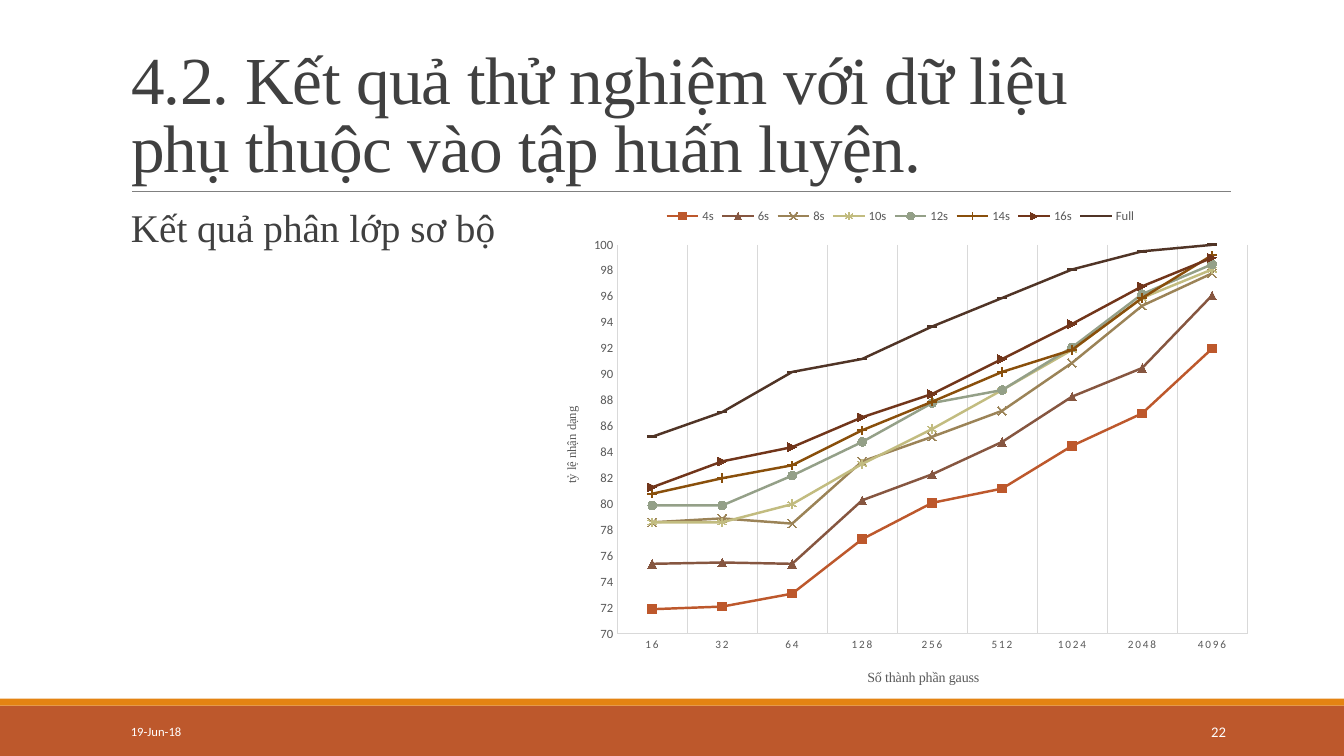
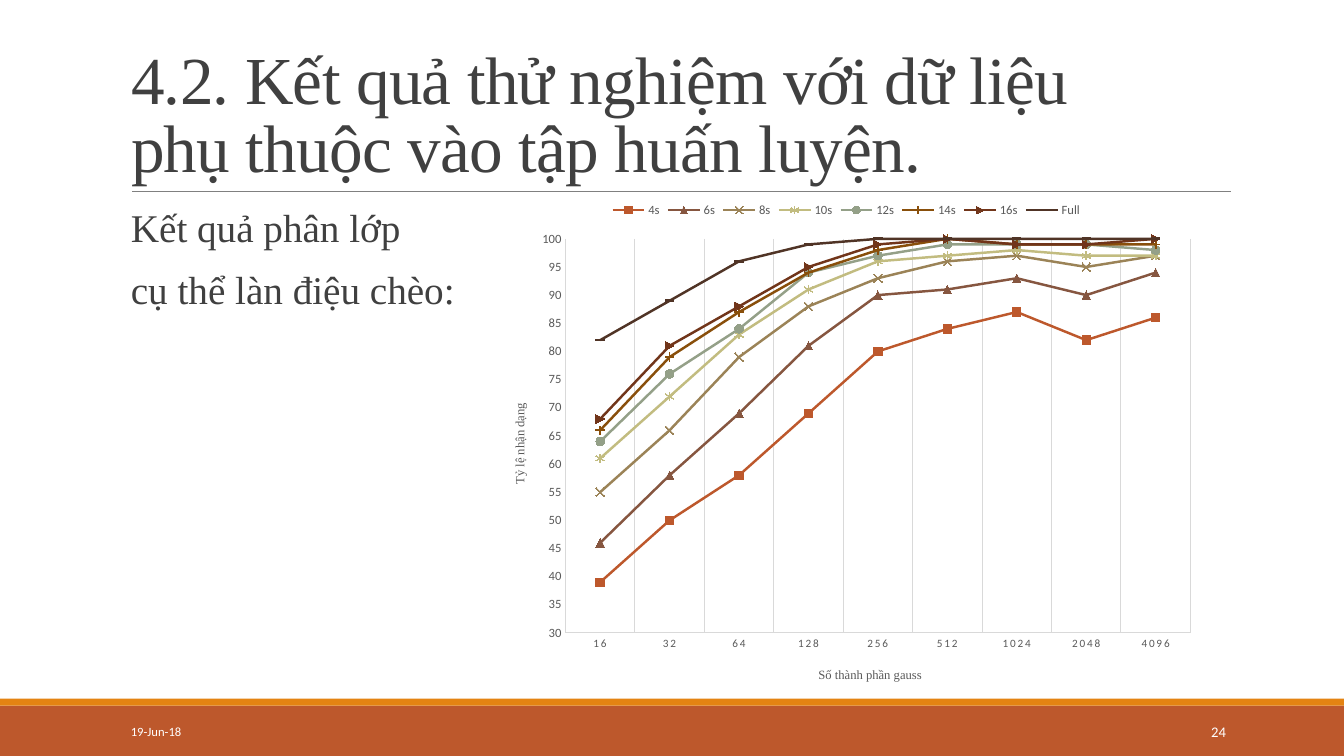
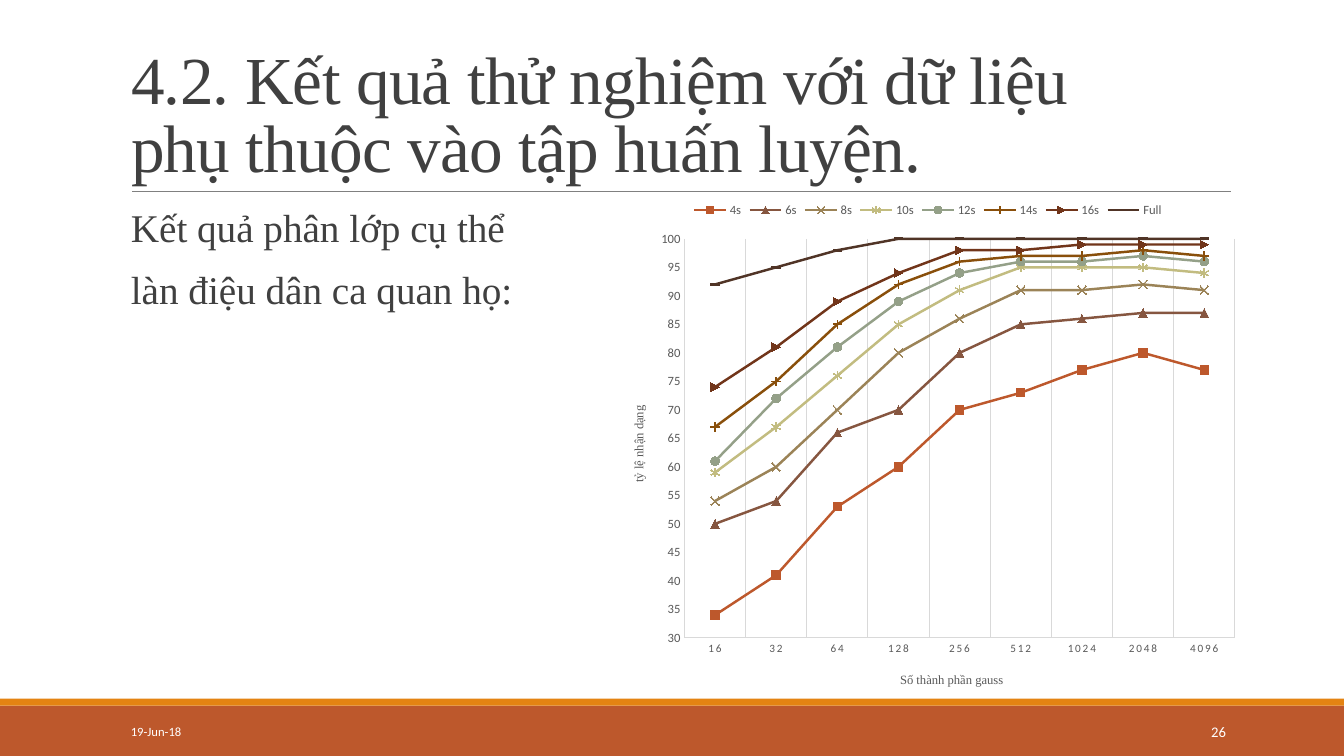
from dataclasses import dataclass
from lxml.etree import SubElement
from pptx import Presentation
from pptx.chart.data import CategoryChartData as ChartData
from pptx.dml.color import RGBColor
from pptx.enum.chart import XL_CHART_TYPE as Kind
from pptx.enum.chart import XL_LEGEND_POSITION as Spot
from pptx.enum.chart import XL_MARKER_STYLE as Mark
from pptx.enum.chart import XL_TICK_MARK as Tick
from pptx.enum.shapes import MSO_CONNECTOR as Link
from pptx.enum.shapes import MSO_SHAPE as Shape
from pptx.enum.text import MSO_ANCHOR as Anchor
from pptx.enum.text import MSO_AUTO_SIZE as Fit
from pptx.enum.text import PP_ALIGN as Align
from pptx.oxml import parse_xml
from pptx.oxml.ns import nsdecls, qn
from pptx.util import Inches, Pt


@dataclass(frozen=True)
class Theme:
    wide: float = 13.33
    high: float = 7.5
    serif: str = "Times New Roman"
    sans: str = "Calibri"
    rust: str = "BD582C"
    amber: str = "E48312"
    ink: str = "404040"
    label: str = "595959"
    rule: str = "808080"
    grid: str = "D9D9D9"
    white: str = "FFFFFF"
    head: float = 48
    body: float = 28
    page: float = 10.5
    base: float = 10
    small: float = 9
    tiny: float = 8


T = Theme()

TITLE = "4.2. Kết quả thử nghiệm với dữ liệu \vphụ thuộc vào tập huấn luyện."
DATE = "19-Jun-18"
CATS = ["16", "32", "64", "128", "256", "512", "1024", "2048", "4096"]

STYLES = [
    ("4s", T.rust, Mark.SQUARE, True),
    ("6s", "865640", Mark.TRIANGLE, True),
    ("8s", "9B8357", Mark.X, False),
    ("10s", "C2BC80", Mark.STAR, False),
    ("12s", "94A088", Mark.CIRCLE, True),
    ("14s", "894F0B", Mark.PLUS, False),
    ("16s", "71351A", Mark.DOT, True),
    ("Full", "503426", Mark.DASH, True),
]

SLIDES = [
    dict(
        page="22",
        lines=["Kết quả phân lớp sơ bộ"],
        area=(40, 26.13, 54, 66.93),
        name="tỷ lệ nhận dạng",
        size=T.base,
        low=70,
        step=2,
        rows=[
            [71.9, 72.1, 73.1, 77.3, 80.1, 81.2, 84.5, 87, 92],
            [75.4, 75.5, 75.4, 80.3, 82.3, 84.8, 88.3, 90.5, 96.1],
            [78.6, 78.9, 78.5, 83.3, 85.2, 87.2, 90.9, 95.3, 97.8],
            [78.6, 78.6, 80, 83.1, 85.8, 88.8, 91.9, 95.9, 98.1],
            [79.9, 79.9, 82.2, 84.8, 87.8, 88.8, 92.1, 96.2, 98.5],
            [80.8, 82, 83, 85.7, 87.9, 90.2, 91.9, 95.9, 99.2],
            [81.3, 83.3, 84.4, 86.7, 88.5, 91.2, 93.9, 96.8, 99],
            [85.2, 87.1, 90.2, 91.2, 93.7, 95.9, 98.1, 99.5, 100],
        ],
    ),
    dict(
        page="24",
        lines=["Kết quả phân lớp", "cụ thể làn điệu chèo:"],
        area=(36.15, 25.33, 53.63, 67.6),
        name="Tỷ lệ nhận dạng",
        size=T.small,
        low=30,
        step=5,
        rows=[
            [39, 50, 58, 69, 80, 84, 87, 82, 86],
            [46, 58, 69, 81, 90, 91, 93, 90, 94],
            [55, 66, 79, 88, 93, 96, 97, 95, 97],
            [61, 72, 83, 91, 96, 97, 98, 97, 97],
            [64, 76, 84, 94, 97, 99, 99, 99, 98],
            [66, 79, 87, 94, 98, 100, 99, 99, 99],
            [68, 81, 88, 95, 99, 100, 99, 99, 100],
            [82, 89, 96, 99, 100, 100, 100, 100, 100],
        ],
    ),
    dict(
        page="26",
        lines=["Kết quả phân lớp cụ thể", "làn điệu dân ca quan họ:"],
        area=(45, 25.33, 48.08, 68.27),
        name="tỷ lệ nhận dạng",
        size=T.small,
        low=30,
        step=5,
        rows=[
            [34, 41, 53, 60, 70, 73, 77, 80, 77],
            [50, 54, 66, 70, 80, 85, 86, 87, 87],
            [54, 60, 70, 80, 86, 91, 91, 92, 91],
            [59, 67, 76, 85, 91, 95, 95, 95, 94],
            [61, 72, 81, 89, 94, 96, 96, 97, 96],
            [67, 75, 85, 92, 96, 97, 97, 98, 97],
            [74, 81, 89, 94, 98, 98, 99, 99, 99],
            [92, 95, 98, 100, 100, 100, 100, 100, 100],
        ],
    ),
]


def rgb(code):
    return RGBColor.from_string(code)


def col(share):
    return Inches(T.wide * share / 100)


def row(share):
    return Inches(T.high * share / 100)


def cells(x, y, w, h):
    return col(x), row(y), col(w), row(h)


def style(font, size, color, face):
    font.size, font.name, font.bold = Pt(size), face, False
    font.color.rgb = rgb(color)


def put(frame, lines, size, color, face=T.sans, align=Align.LEFT,
        lead=None, before=0, after=0, track=0):
    for i, line in enumerate(lines):
        para = frame.paragraphs[0] if i == 0 else frame.add_paragraph()
        para.text = line
        para.alignment = align
        para.line_spacing = lead
        para.space_before, para.space_after = Pt(before), Pt(after)
        for run in para.runs:
            style(run.font, size, color, face)
            if track:
                run.font._element.set("spc", str(track))


def setup(frame, anchor):
    frame.word_wrap = True
    frame.auto_size = Fit.NONE
    frame.vertical_anchor = anchor


def note(slide, area, lines, anchor=Anchor.MIDDLE, **form):
    frame = slide.shapes.add_textbox(*cells(*area)).text_frame
    setup(frame, anchor)
    put(frame, lines, **form)


def band(slide, top, high, color):
    bar = slide.shapes.add_shape(Shape.RECTANGLE, *cells(0, top, 100, high))
    bar.shadow.inherit = False
    bar.fill.solid()
    bar.fill.fore_color.rgb = rgb(color)
    bar.line.fill.background()


def stroke(line, color, width):
    line.color.rgb = rgb(color)
    line.width = Pt(width)


def frame_up(slide, page):
    band(slide, 93.33, 6.67, T.rust)
    band(slide, 92.4, 0.93, T.amber)
    level = row(25.33)
    rule = slide.shapes.add_connector(
        Link.STRAIGHT, col(9.83), level, col(91.6), level)
    stroke(rule.line, T.rule, 0.5)
    SubElement(rule._element.spPr, qn("a:effectLst"))
    title = slide.shapes.title
    title.left, title.top, title.width, title.height = cells(
        9, 4.13, 82.5, 21.2)
    setup(title.text_frame, Anchor.BOTTOM)
    put(title.text_frame, [TITLE], T.head, T.ink, face=T.serif,
        lead=0.85, track=-50)
    note(slide, (9, 94.13, 20.25, 5.33), [DATE], size=T.small, color=T.white)
    note(slide, (81.23, 94.13, 10.73, 5.33), [page], size=T.page,
         color=T.white, align=Align.RIGHT)


def place(node, index, **parts):
    for old in node.findall(qn("c:layout")):
        node.remove(old)
    layout = parse_xml(f"<c:layout {nsdecls('c')}/>")
    manual = SubElement(layout, qn("c:manualLayout"))
    if "w" in parts:
        SubElement(manual, qn("c:layoutTarget")).set("val", "inner")
    for mode in ("xMode", "yMode"):
        SubElement(manual, qn("c:" + mode)).set("val", "edge")
    for key, share in parts.items():
        SubElement(manual, qn("c:" + key)).set("val", str(round(share, 4)))
    node.insert(index, layout)


def name_axis(axis, text, size, x, y, turn=0):
    title = axis.axis_title
    put(title.text_frame, [text], size, T.label, face=T.serif,
        align=Align.CENTER)
    node = title._element
    frame = node.xpath(".//a:bodyPr")[0]
    frame.set("rot", str(turn * 60000))
    frame.set("vert", "horz")
    place(node, 1, x=x, y=y)


def dress(axis, size):
    axis.major_tick_mark = axis.minor_tick_mark = Tick.NONE
    stroke(axis.format.line, T.grid, 0.75)
    style(axis.tick_labels.font, size, T.label, T.sans)


def paint(line, color, mark, solid):
    line.smooth = False
    stroke(line.format.line, color, 1.75)
    marker = line.marker
    marker.style, marker.size = mark, 6
    stroke(marker.format.line, color, 0.75)
    if solid:
        marker.format.fill.solid()
        marker.format.fill.fore_color.rgb = rgb(color)
    else:
        marker.format.fill.background()


def arrange(chart, area, name, size):
    wide, high = T.wide * area[2] / 100, T.high * area[3] / 100
    left, top, right, base = 0.79, 0.47, 0.16, 0.69
    w, h = wide - left - right, high - top - base
    place(chart._chartSpace.xpath(".//c:plotArea")[0], 0,
          x=left / wide, y=top / high, w=w / wide, h=h / high)
    half = 0.056 * size
    name_axis(chart.category_axis, "Số thành phần gauss", size,
              (left + w / 2 - 0.11 - half) / wide, (high - 0.38) / high)
    name_axis(chart.value_axis, name, T.small,
              0.23 / wide, (top + h / 2 - 0.35) / high, turn=-90)


def plot(slide, area, name, size, low, step, rows):
    data = ChartData()
    data.categories = CATS
    for (label, *_), vals in zip(STYLES, rows):
        data.add_series(label, vals)
    chart = slide.shapes.add_chart(
        Kind.LINE_MARKERS, *cells(*area), data).chart
    style(chart.font, T.base, "000000", T.sans)
    chart.has_title = False
    chart.has_legend = True
    chart.legend.position = Spot.TOP
    chart.legend.include_in_layout = False
    style(chart.legend.font, T.small, T.label, T.sans)
    chart.plots[0].vary_by_categories = False
    for line, (_, *look) in zip(chart.plots[0].series, STYLES):
        paint(line, *look)
    cat, val = chart.category_axis, chart.value_axis
    dress(cat, T.tiny)
    dress(val, T.small)
    cat._element.xpath("c:txPr//a:defRPr")[0].set("spc", "120")
    cat.has_major_gridlines = True
    stroke(cat.major_gridlines.format.line, T.grid, 0.75)
    val.has_major_gridlines = False
    val.minimum_scale, val.maximum_scale, val.major_unit = low, 100, step
    arrange(chart, area, name, size)


def main():
    deck = Presentation()
    deck.slide_width, deck.slide_height = col(100), row(100)
    for item in SLIDES:
        slide = deck.slides.add_slide(deck.slide_layouts[5])
        parts = dict(item)
        frame_up(slide, parts.pop("page"))
        note(slide, (9, 26.93, 82.5, 58.67), parts.pop("lines"),
             anchor=Anchor.TOP, size=T.body, color=T.ink, face=T.serif,
             lead=0.9, before=12, after=2)
        plot(slide, **parts)
    deck.save("out.pptx")


if __name__ == "__main__":
    main()
